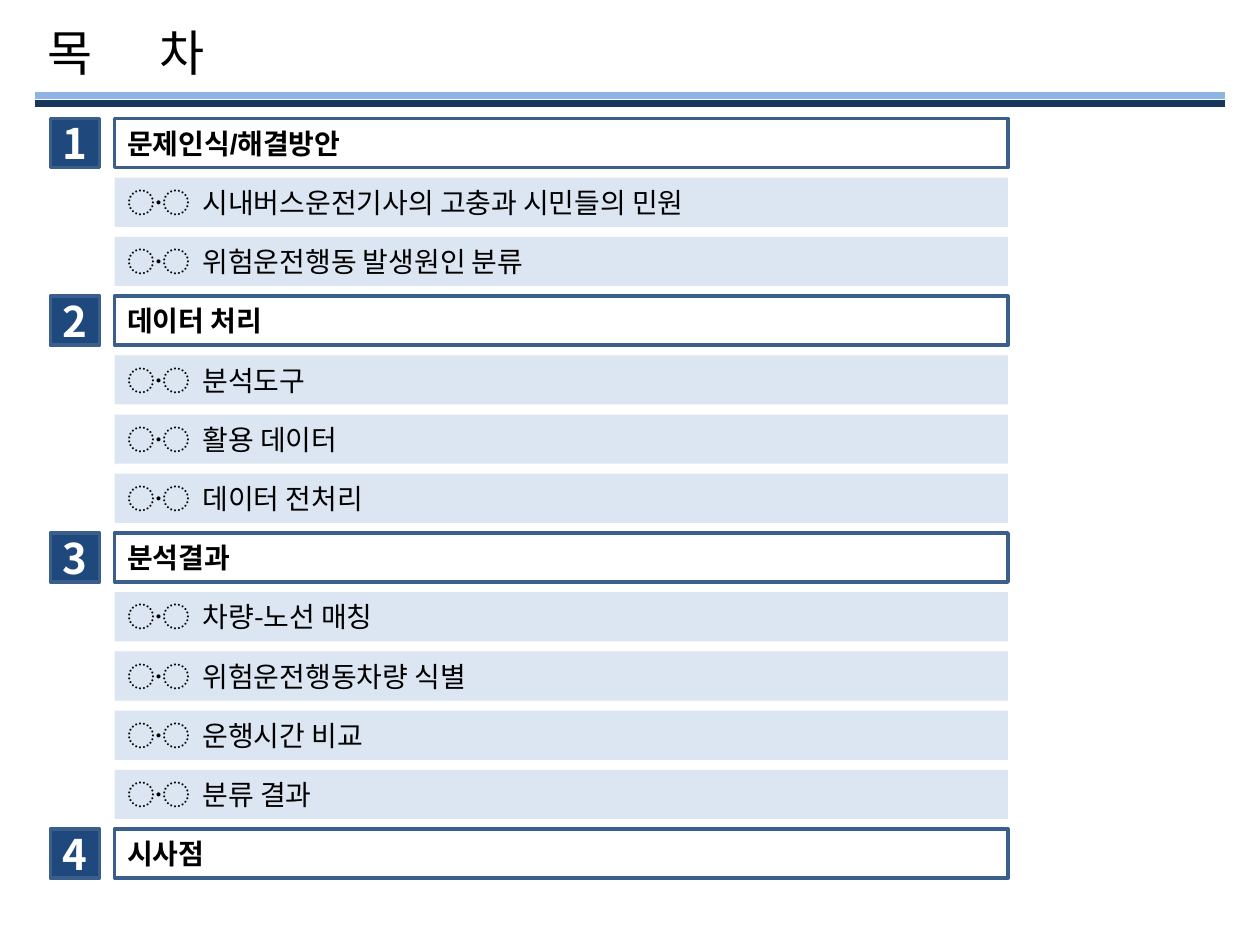
"""Build a table-of-contents slide with numbered sections and their topics."""
from dataclasses import dataclass

from lxml import etree
from pptx import Presentation
from pptx.dml.color import RGBColor
from pptx.enum.shapes import MSO_CONNECTOR, MSO_SHAPE
from pptx.enum.text import MSO_ANCHOR, MSO_AUTO_SIZE, PP_ALIGN
from pptx.oxml.ns import qn
from pptx.util import Inches, Pt

RECTANGLE = MSO_SHAPE.RECTANGLE
STRAIGHT = MSO_CONNECTOR.STRAIGHT
MIDDLE = MSO_ANCHOR.MIDDLE
LEFT, CENTER = PP_ALIGN.LEFT, PP_ALIGN.CENTER
GROW = MSO_AUTO_SIZE.SHAPE_TO_FIT_TEXT


@dataclass(frozen=True)
class Theme:
    navy: str = "17375E"
    sky: str = "8EB4E3"
    badge: str = "1F497D"
    border: str = "3A5F8C"
    pale: str = "DCE6F2"
    white: str = "FFFFFF"
    black: str = "000000"
    korean: str = "Noto Sans CJK KR"
    latin: str = "Arial"
    title_size: int = 28
    number_size: int = 24
    text_size: int = 16


THEME = Theme()
SECTIONS = [
    ("문제인식/해결방안", ["시내버스운전기사의 고충과 시민들의 민원", "위험운전행동 발생원인 분류"]),
    ("데이터 처리", ["분석도구", "활용 데이터", "데이터 전처리"]),
    ("분석결과", ["차량-노선 매칭", "위험운전행동차량 식별", "운행시간 비교", "분류 결과"]),
    ("시사점", []),
]
BADGE_LEFT, BAR_LEFT, BAR_WIDTH = 0.4, 0.91, 7.09
FIRST_TOP, PITCH, HEIGHT = 0.94, 0.47, 0.39


def write(box, text, size, color, font=THEME.korean, bold=False, align=LEFT, tab=None):
    para = box.text_frame.paragraphs[0]
    para.add_run().text = text
    para.alignment = align
    para.font.size = Pt(size)
    para.font.bold = bold
    para.font.color.rgb = RGBColor.from_string(color)
    para.font.name = font
    properties = para._p.pPr
    defaults = properties.find(qn("a:defRPr"))
    etree.SubElement(defaults, qn("a:ea"), typeface=THEME.korean)
    if tab:
        stops = etree.Element(qn("a:tabLst"))
        etree.SubElement(stops, qn("a:tab"), pos=str(Inches(tab)), algn="l")
        defaults.addprevious(stops)


def add_bar(left, top, width, fill, border=None):
    bar = page.shapes.add_shape(RECTANGLE, Inches(left), Inches(top), Inches(width), Inches(HEIGHT))
    bar.shadow.inherit = False
    bar.fill.solid()
    bar.fill.fore_color.rgb = RGBColor.from_string(fill)
    if border:
        bar.line.color.rgb = RGBColor.from_string(border)
        bar.line.width = Pt(2)
    else:
        bar.line.fill.background()
    bar.text_frame.word_wrap = True
    bar.text_frame.vertical_anchor = MIDDLE
    return bar


deck = Presentation()
deck.slide_width, deck.slide_height = Inches(10), Inches(7.5)
page = deck.slides.add_slide(deck.slide_layouts[6])

for y, color in ((0.82, THEME.navy), (0.76, THEME.sky)):
    rule = page.shapes.add_connector(STRAIGHT, Inches(0.28), Inches(y), Inches(9.72), Inches(y))
    rule.line.color.rgb = RGBColor.from_string(color)
    rule.line.width = Pt(4)
    etree.SubElement(rule._element.spPr, qn("a:effectLst"))

title = page.shapes.add_textbox(Inches(0.28), Inches(0.13), Inches(4.72), Inches(0.57))
title.text_frame.word_wrap = True
title.text_frame.auto_size = GROW
write(title, "목\t차", THEME.title_size, THEME.black, tab=0.89)

top = FIRST_TOP
for number, (heading, topics) in enumerate(SECTIONS, start=1):
    badge = add_bar(BADGE_LEFT, top, HEIGHT, THEME.badge, THEME.border)
    write(badge, str(number), THEME.number_size, THEME.white, bold=True, align=CENTER)
    header = add_bar(BAR_LEFT, top, BAR_WIDTH, THEME.white, THEME.border)
    write(header, heading, THEME.text_size, THEME.black, font=THEME.latin, bold=True)
    top += PITCH
    for topic in topics:
        row = add_bar(BAR_LEFT, top, BAR_WIDTH, THEME.pale)
        write(row, f"〮\t{topic}", THEME.text_size, THEME.black, tab=0.6)
        top += PITCH

deck.save("out.pptx")
